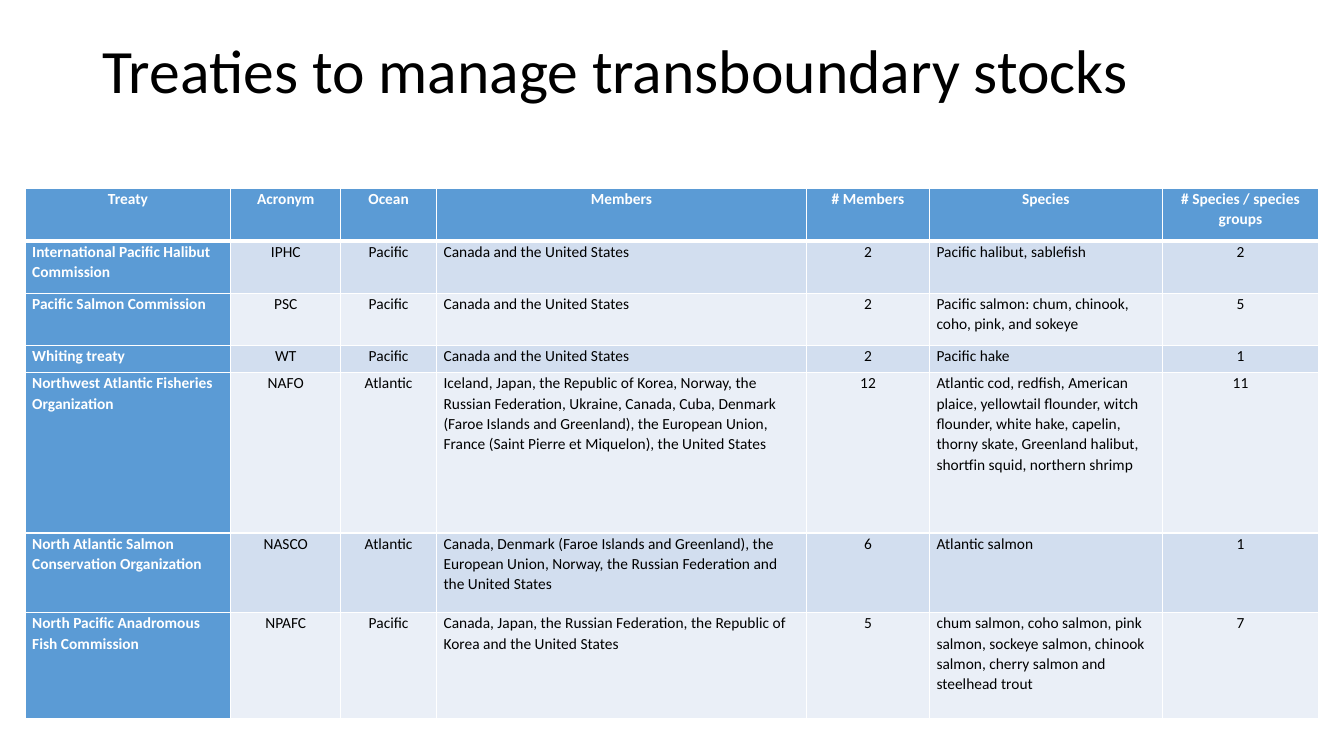
from lxml import etree
from pptx import Presentation
from pptx.dml.color import RGBColor
from pptx.enum.text import MSO_ANCHOR, PP_ALIGN
from pptx.oxml.ns import qn
from pptx.util import Inches, Pt

CENTER, LEFT = PP_ALIGN.CENTER, PP_ALIGN.LEFT
MIDDLE = MSO_ANCHOR.MIDDLE
WHITE = RGBColor(0xFF, 0xFF, 0xFF)
BLACK = RGBColor(0, 0, 0)
BLUE = RGBColor(0x5B, 0x9B, 0xD5)
BANDS = (RGBColor(0xEA, 0xEF, 0xF7), RGBColor(0xD2, 0xDE, 0xEF))
FONT = "Calibri"

COL_WIDTHS = (2.04, 1.09, 0.95, 3.67, 1.22, 2.31, 1.55)
ROW_HEIGHTS = (0.52, 0.52, 0.52, 0.27, 1.59, 0.79, 1.05)
LEFT_COLS = (0, 3, 5)
USA_CANADA = "Canada and the United States"
TREATIES = (
    ("Treaty", "Acronym", "Ocean", "Members", "# Members", "Species",
     "# Species / species groups"),
    ("International Pacific Halibut Commission", "IPHC", "Pacific", USA_CANADA,
     "2", "Pacific halibut, sablefish", "2"),
    ("Pacific Salmon Commission", "PSC", "Pacific", USA_CANADA, "2",
     "Pacific salmon: chum, chinook, coho, pink, and sokeye", "5"),
    ("Whiting treaty", "WT", "Pacific", USA_CANADA, "2", "Pacific hake", "1"),
    ("Northwest Atlantic Fisheries Organization", "NAFO", "Atlantic",
     "Iceland, Japan, the Republic of Korea, Norway, the Russian Federation, "
     "Ukraine, Canada, Cuba, Denmark (Faroe Islands and Greenland), the "
     "European Union, France (Saint Pierre et Miquelon), the United States",
     "12",
     "Atlantic cod, redfish, American plaice, yellowtail flounder, witch "
     "flounder, white hake, capelin, thorny skate, Greenland halibut, "
     "shortfin squid, northern shrimp", "11"),
    ("North Atlantic Salmon Conservation Organization", "NASCO", "Atlantic",
     "Canada, Denmark (Faroe Islands and Greenland), the European Union, "
     "Norway, the Russian Federation and the United States",
     "6", "Atlantic salmon", "1"),
    ("North Pacific Anadromous Fish Commission", "NPAFC", "Pacific",
     "Canada, Japan, the Russian Federation, the Republic of Korea and the "
     "United States", "5",
     "chum salmon, coho salmon, pink salmon, sockeye salmon, chinook salmon, "
     "cherry salmon and steelhead trout", "7"),
)


def write(tf, text, size, color, bold=False, align=LEFT, spacing=1.0):
    tf.word_wrap = True
    p = tf.paragraphs[0]
    p.alignment, p.line_spacing = align, spacing
    r = p.add_run()
    r.text = text
    r.font.name, r.font.size, r.font.bold = FONT, Pt(size), bold
    r.font.color.rgb = color


def add_title(s, text):
    sp = s.shapes.add_textbox(Inches(0.92), 0, Inches(11.5), Inches(1.45))
    sp.text_frame.vertical_anchor = MIDDLE
    write(sp.text_frame, text, 44, BLACK, spacing=0.9)


def set_borders(cell, **widths):
    tc_pr = cell._tc.get_or_add_tcPr()
    for side, width in widths.items():
        ln = etree.SubElement(tc_pr, qn(f"a:ln{side}"), w=str(Pt(width)))
        fill = etree.SubElement(ln, qn("a:solidFill"))
        etree.SubElement(fill, qn("a:srgbClr"), val=str(WHITE))


def fill_cell(cell, row, col, text):
    header = row == 0
    strong = header or col == 0
    set_borders(cell, L=1, R=1, T=3 if row == 1 else 1, B=3 if header else 1)
    cell.fill.solid()
    cell.fill.fore_color.rgb = BLUE if strong else BANDS[row % 2]
    cell.margin_left = cell.margin_right = Inches(0.07)
    cell.margin_top = cell.margin_bottom = 0
    align = LEFT if col in LEFT_COLS and not header else CENTER
    write(cell.text_frame, text, 11, WHITE if strong else BLACK, strong,
          align, 1.07)


def add_treaty_table(s):
    frame = s.shapes.add_table(
        len(ROW_HEIGHTS), len(COL_WIDTHS), Inches(0.25), Inches(1.87),
        Inches(sum(COL_WIDTHS)), Inches(sum(ROW_HEIGHTS)))
    table = frame.table
    for column, width in zip(table.columns, COL_WIDTHS):
        column.width = Inches(width)
    for row, height in zip(table.rows, ROW_HEIGHTS):
        row.height = Inches(height)
    for i, treaty in enumerate(TREATIES):
        for j, text in enumerate(treaty):
            fill_cell(table.cell(i, j), i, j, text)


def main():
    prs = Presentation()
    prs.slide_width, prs.slide_height = Inches(13.33), Inches(7.5)
    s = prs.slides.add_slide(prs.slide_layouts[6])
    add_title(s, "Treaties to manage transboundary stocks")
    add_treaty_table(s)
    prs.save("out.pptx")


main()
